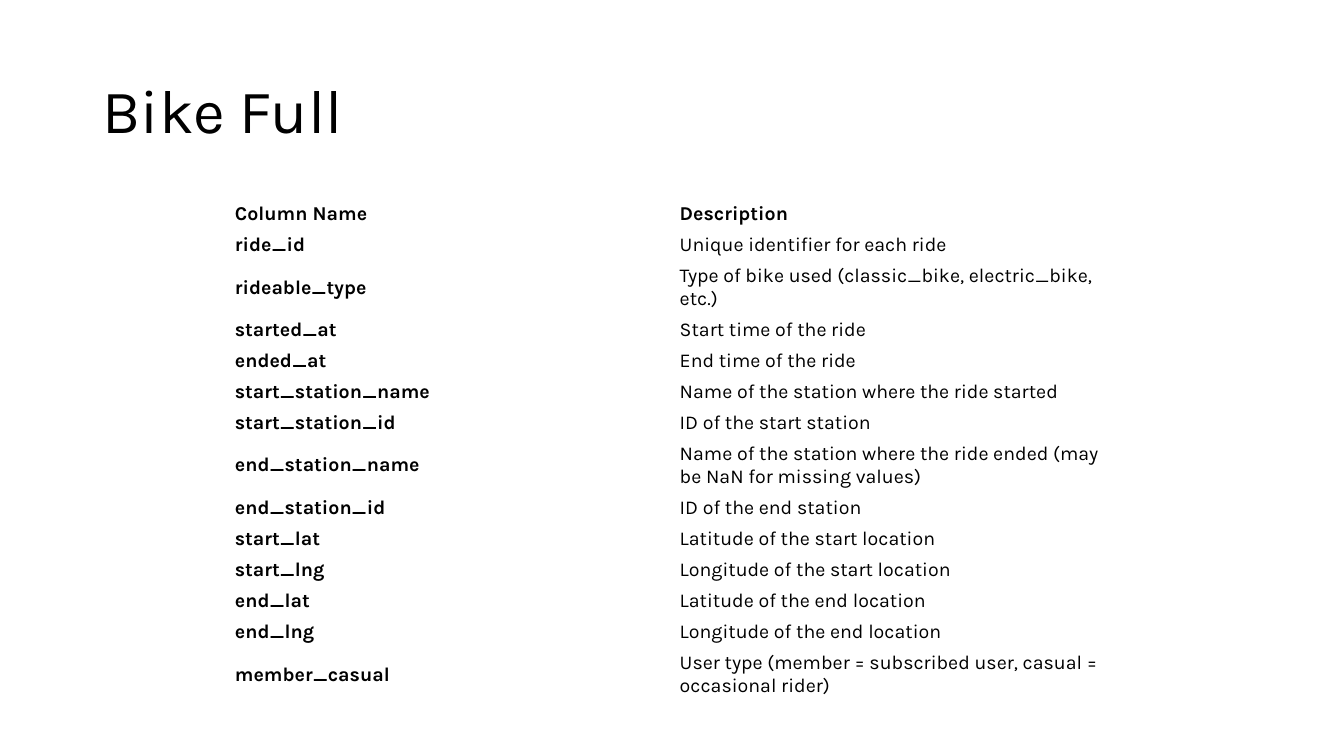
from dataclasses import dataclass

from pptx import Presentation
from pptx import util as u
from pptx.dml import color
from pptx.enum import text

FONT = "Karla"
BLACK = "000000"
ROW_HEIGHT = u.Cm(0.78)
TALL_ROW_HEIGHT = u.Cm(1.37)
COLUMN_WIDTH = u.Cm(11.21)


@dataclass(frozen=True)
class Field:
    name: str
    description: str
    header: bool = False
    tall: bool = False


FIELDS = [
    Field("Column Name", "Description", header=True),
    Field("ride_id", "Unique identifier for each ride"),
    Field("rideable_type", "Type of bike used (classic_bike, electric_bike, etc.)"),
    Field("started_at", "Start time of the ride"),
    Field("ended_at", "End time of the ride"),
    Field("start_station_name", "Name of the station where the ride started"),
    Field("start_station_id", "ID of the start station"),
    Field("end_station_name",
          "Name of the station where the ride ended (may be NaN for missing values)",
          tall=True),
    Field("end_station_id", "ID of the end station"),
    Field("start_lat", "Latitude of the start location"),
    Field("start_lng", "Longitude of the start location"),
    Field("end_lat", "Latitude of the end location"),
    Field("end_lng", "Longitude of the end location"),
    Field("member_casual",
          "User type (member = subscribed user, casual = occasional rider)",
          tall=True),
]


def set_color(font, value: str) -> None:
    font.color.rgb = color.RGBColor.from_string(value)


def add_run(p, content: str, size: float, bold: bool = False) -> None:
    r = p.add_run()
    r.text = content
    r.font.name = FONT
    r.font.size = u.Pt(size)
    r.font.bold = bold
    set_color(r.font, BLACK)


def fill_title(sp) -> None:
    sp.left, sp.top = u.Cm(2.33), u.Cm(1.01)
    sp.width, sp.height = u.Cm(29.21), u.Cm(3.68)
    tf = sp.text_frame
    tf.word_wrap = True
    tf.auto_size = text.MSO_AUTO_SIZE.NONE
    tf.vertical_anchor = text.MSO_ANCHOR.MIDDLE
    p = tf.paragraphs[0]
    p.alignment = text.PP_ALIGN.LEFT
    p.line_spacing = 0.9
    add_run(p, "Bike Full", 44)


def fill_cell(cell, content: str, bold: bool) -> None:
    cell.fill.background()
    cell.vertical_anchor = text.MSO_ANCHOR.MIDDLE
    cell.margin_left = cell.margin_right = u.Cm(0.2)
    cell.margin_top = cell.margin_bottom = u.Cm(0.1)
    add_run(cell.text_frame.paragraphs[0], content, 14, bold)


def add_field_table(s, fields: list[Field]) -> None:
    heights = [TALL_ROW_HEIGHT if f.tall else ROW_HEIGHT for f in fields]
    table = s.shapes.add_table(
        len(fields), 2, u.Cm(5.72), u.Cm(5.01), 2 * COLUMN_WIDTH, sum(heights)
    ).table
    table.first_row = table.horz_banding = False
    for column in table.columns:
        column.width = COLUMN_WIDTH
    for i, (field, height) in enumerate(zip(fields, heights)):
        table.rows[i].height = height
        fill_cell(table.cell(i, 0), field.name, True)
        fill_cell(table.cell(i, 1), field.description, field.header)


def main() -> None:
    prs = Presentation()
    prs.slide_width, prs.slide_height = u.Cm(33.87), u.Cm(19.05)
    s = prs.slides.add_slide(prs.slide_layouts[5])
    fill_title(s.shapes.title)
    add_field_table(s, FIELDS)
    prs.save("out.pptx")


if __name__ == "__main__":
    main()
